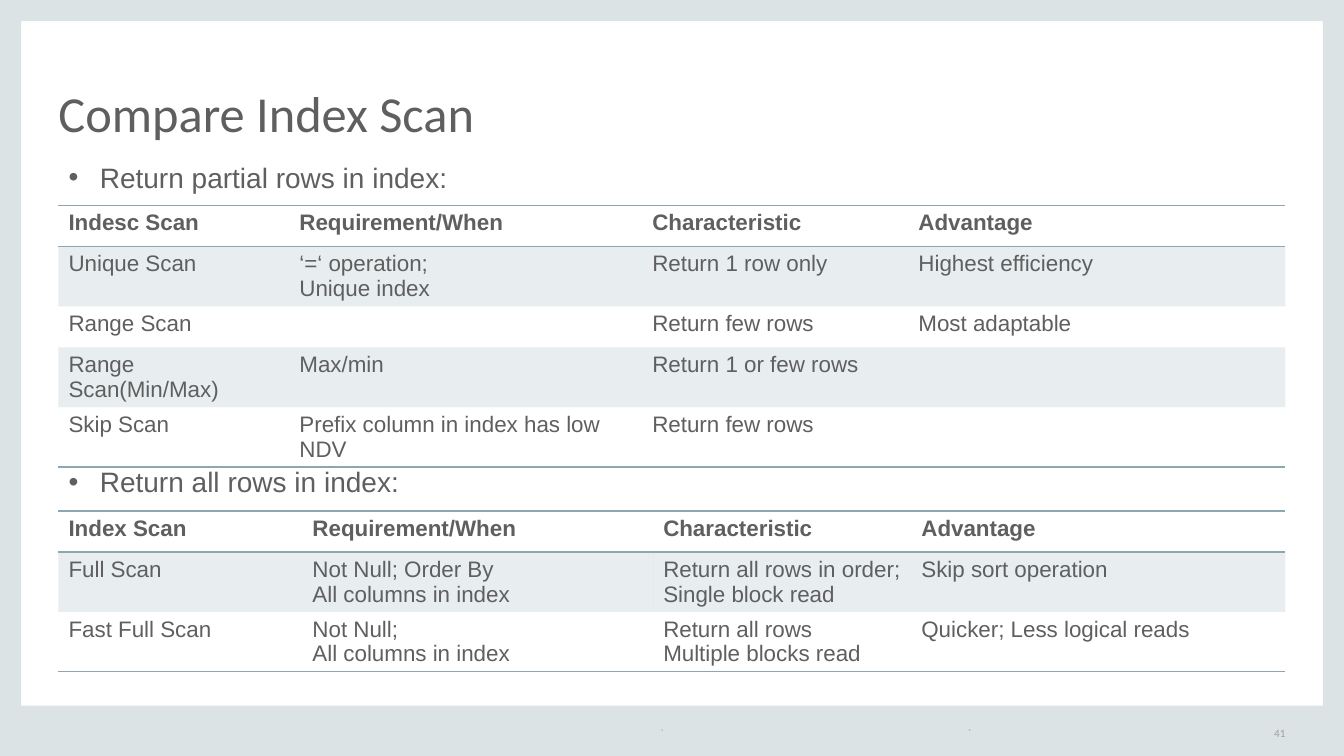
import pptx
import pptx.util
import pptx.dml.color
import pptx.enum.shapes
import pptx.enum.text
import pptx.oxml

Pt = pptx.util.Pt
ALIGN = pptx.enum.text.PP_ALIGN
ANCHOR = pptx.enum.text.MSO_ANCHOR
WIDE, HIGH = pptx.util.Inches(13.33), pptx.util.Inches(7.5)
LEFT, SPAN = 4.35, 91.3
HUES = {"frame": "DCE3E4", "text": "5F5F5F", "foot": "9F9F9F", "rule": "8DA6B1"}
FONTS = {
    "title": {"name": "Calibri", "size": Pt(36), "bold": False},
    "list": {"name": "Arial", "size": Pt(20), "bold": False},
    "head": {"name": "Arial", "size": Pt(16), "bold": True},
    "cell": {"name": "Arial", "size": Pt(16), "bold": False},
    "foot": {"name": "Calibri", "size": Pt(8), "bold": False},
}
PLAIN = "{2D5ABB26-0587-4C30-8999-92F81FD0307C}"
NS = 'xmlns:a="http://schemas.openxmlformats.org/drawingml/2006/main"'

FRAME = [(0, 0, 1.58, 100), (98.42, 0, 1.58, 100), (0, 93.33, 100, 6.67), (0, 0, 100, 2.8)]
FOOT = [
    ("`", 49.14, 22.88, ALIGN.LEFT),
    ("`", 72.02, 20.48, ALIGN.LEFT),
    ("41", 92.5, 3.15, ALIGN.RIGHT),
]
PARTIAL = [
    ["Indesc Scan", "Requirement/When", "Characteristic", "Advantage"],
    ["Unique Scan", "‘=‘ operation;\nUnique index", "Return 1 row only", "Highest efficiency"],
    ["Range Scan", "", "Return few rows", "Most adaptable"],
    ["Range Scan(Min/Max)", "Max/min", "Return 1 or few rows", ""],
    ["Skip Scan", "Prefix column in index has low NDV", "Return few rows", ""],
]
ALL = [
    ["Index Scan", "Requirement/When", "Characteristic", "Advantage"],
    ["Full Scan", "Not Null; Order By\nAll columns in index",
     "Return all rows in order;\nSingle block read", "Skip sort operation"],
    ["Fast Full Scan", "Not Null;\nAll columns in index",
     "Return all rows\nMultiple blocks read", "Quicker; Less logical reads"],
]
PARTS = [
    ("Return partial rows in index:", 20.53, 27.2, PARTIAL, (18.82, 28.76, 21.69, 30.73)),
    ("Return all rows in index:", 60.8, 67.6, ALL, (19.88, 28.59, 21.04, 30.49)),
]


def hue(name):
    """Return the named colour."""
    return pptx.dml.color.RGBColor.from_string(HUES[name])


def area(x, y, w, h):
    """Turn percentages of the slide into lengths."""
    return [round(part * side / 100) for part, side in zip((x, y, w, h), (WIDE, HIGH) * 2)]


def put(item, values):
    """Set each attribute given in a dict."""
    for key, value in values.items():
        setattr(item, key, value)


def place(shape, *box):
    """Move and size a shape."""
    put(shape, dict(zip(("left", "top", "width", "height"), area(*box))))


def style(frame, kind, color="text", **form):
    """Format every paragraph of a text frame."""
    for para in frame.paragraphs:
        put(para, {"alignment": ALIGN.LEFT, "space_before": Pt(0), **form})
        for run in para.runs:
            put(run.font, FONTS[kind])
            run.font.color.rgb = hue(color)


def trim(frame, anchor, wrap, inset=0):
    """Set the anchor, wrapping and side insets of a text frame."""
    sides = ("margin_left", "margin_right", "margin_top", "margin_bottom")
    put(frame, {"vertical_anchor": anchor, "word_wrap": wrap,
                "auto_size": pptx.enum.text.MSO_AUTO_SIZE.NONE})
    put(frame, dict.fromkeys(sides, Pt(inset)))


def band(slide, box):
    """Draw one side of the slide frame."""
    shape = slide.shapes.add_shape(pptx.enum.shapes.MSO_SHAPE.RECTANGLE, *area(*box))
    shape.shadow.inherit = False
    shape.fill.solid()
    shape.fill.fore_color.rgb = hue("frame")
    shape.line.fill.background()


def foot(slide, text, x, w, align):
    """Write one footer entry."""
    frame = slide.shapes.add_textbox(*area(x, 95.6, w, 2.67)).text_frame
    frame.text = text
    trim(frame, ANCHOR.MIDDLE, False)
    style(frame, "foot", "foot", alignment=align)


def title(shape, text):
    """Fill and place the title."""
    place(shape, LEFT, 5.87, SPAN, 12.93)
    shape.text_frame.text = text
    trim(shape.text_frame, ANCHOR.BOTTOM, True)
    style(shape.text_frame, "title", line_spacing=0.8)


def bullet(shape, text, y):
    """Fill and place a bulleted heading."""
    place(shape, LEFT, y, 31.5, 5.87)
    frame = shape.text_frame
    frame.text = text
    trim(frame, ANCHOR.TOP, True)
    put(frame, {"margin_left": Pt(7.2), "margin_top": Pt(3.6)})
    style(frame, "list")
    for props in shape.element.xpath(".//a:pPr"):
        step = pptx.util.Inches(0.31)
        props.set("marL", str(step))
        props.set("indent", str(-step))
        for mark in ('buFont %s typeface="Arial"', 'buChar %s char="•"'):
            props.append(pptx.oxml.parse_xml(f"<a:{mark % NS}/>"))


def rule(cell, side):
    """Draw a border on one side of a cell."""
    color = HUES["rule"]
    line = pptx.oxml.parse_xml(
        f'<a:ln{side} {NS} w="12700"><a:solidFill><a:srgbClr val="{color}"/>'
        f"</a:solidFill></a:ln{side}>")
    cell._tc.get_or_add_tcPr().insert(0, line)


def shade(cell, dark):
    """Give a cell a pale fill or none."""
    if not dark:
        cell.fill.background()
        return
    cell.fill.solid()
    cell.fill.fore_color.rgb = hue("rule")
    tint = cell._tc.xpath(".//a:tcPr/a:solidFill/a:srgbClr")[0]
    tint.append(pptx.oxml.parse_xml(f'<a:alpha {NS} val="20000"/>'))


def grid(slide, y, rows, widths):
    """Build a ruled table with shaded odd rows."""
    tall = 5.41
    box = area(LEFT, y, SPAN, tall * len(rows))
    shape = slide.shapes.add_table(len(rows), len(widths), *box)
    shape.element.xpath(".//a:tableStyleId")[0].text = PLAIN
    table = shape.table
    put(table, {"first_row": False, "horz_banding": False})
    for col, share in zip(table.columns, widths):
        col.width = round(box[2] * share / 100)
    for r, texts in enumerate(rows):
        for c, text in enumerate(texts):
            cell = table.cell(r, c)
            cell.text = text
            style(cell.text_frame, "cell" if r else "head")
            shade(cell, r % 2)
            if r in (0, len(rows) - 1):
                rule(cell, "B")
            if r == 0:
                rule(cell, "T")


def main():
    """Build the slide and save it."""
    deck = pptx.Presentation()
    put(deck, {"slide_width": WIDE, "slide_height": HIGH})
    slide = deck.slides.add_slide(deck.slide_layouts[3])
    for box in FRAME:
        band(slide, box)
    for item in FOOT:
        foot(slide, *item)
    title(slide.shapes.title, "Compare Index Scan")
    for spot, (text, top, y, rows, widths) in enumerate(PARTS, 1):
        bullet(slide.placeholders[spot], text, top)
        grid(slide, y, rows, widths)
    deck.save("out.pptx")


main()
